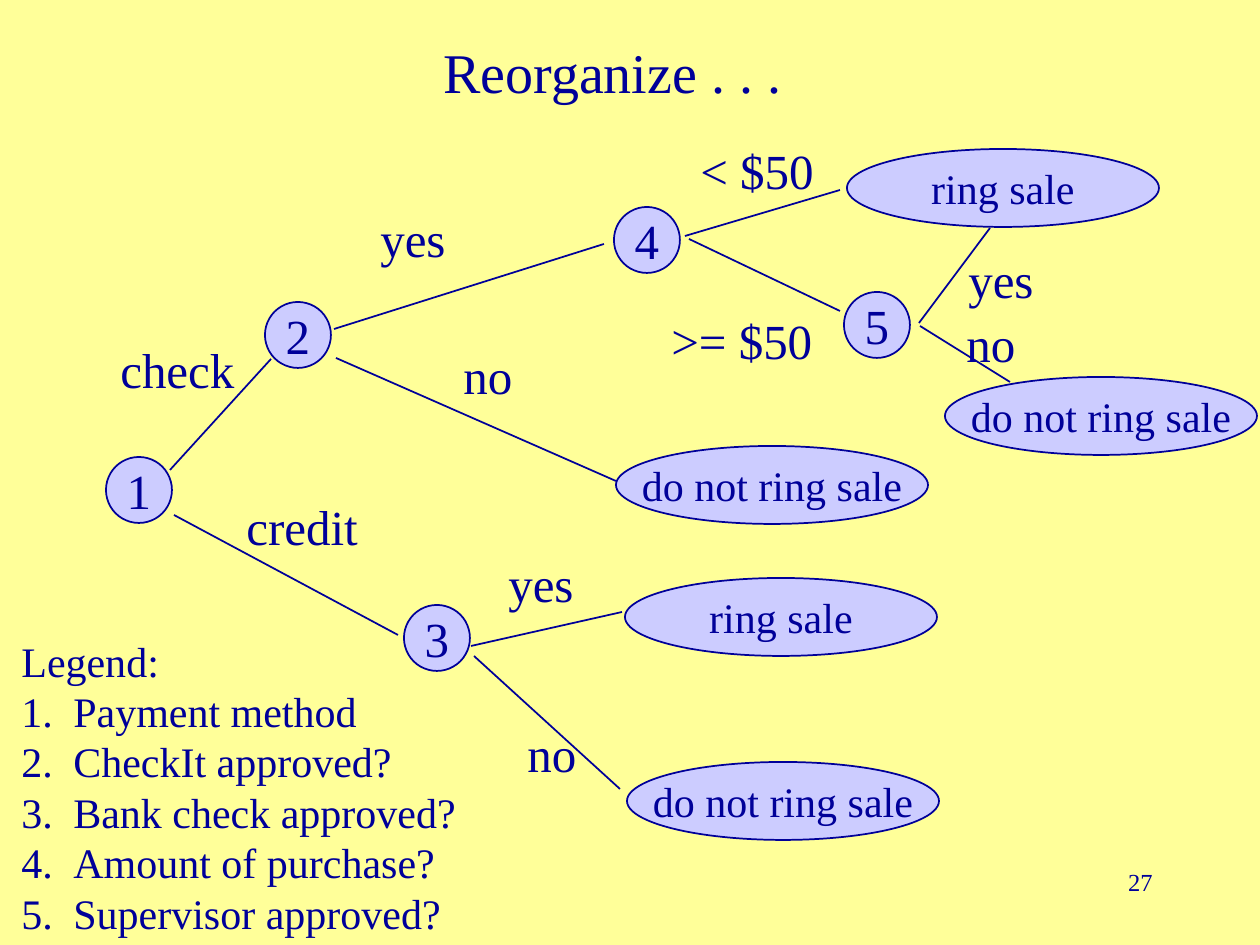
from lxml.etree import SubElement
from pptx import Presentation
from pptx.dml.color import RGBColor
from pptx.enum.shapes import MSO_CONNECTOR, MSO_SHAPE
from pptx.enum.text import MSO_ANCHOR, PP_ALIGN
from pptx.oxml.ns import qn
from pptx.util import Pt

EMU_PER_PX = 914400 / 126
FONT = "Times New Roman"
NAVY, LILAC, YELLOW = "000099", "CCCCFF", "FFFF99"
NODE, OUTCOME, LABEL_H = 66, (312, 78), 71


def px(n):
    return round(n * EMU_PER_PX)


def color(hex_string):
    return RGBColor.from_string(hex_string)


def add_run(p, text, size):
    r = p.add_run()
    r.text = text
    r.font.size = Pt(size)
    r.font.name = FONT
    r.font.color.rgb = color(NAVY)


def add_text(s, box, text, size, align=PP_ALIGN.LEFT, anchor=MSO_ANCHOR.TOP, wrap=True):
    tf = s.shapes.add_textbox(*map(px, box)).text_frame
    tf.word_wrap = wrap
    tf.vertical_anchor = anchor
    p = tf.paragraphs[0]
    p.alignment = align
    add_run(p, text, size)
    return tf


def add_ellipse(s, box, text, size):
    sp = s.shapes.add_shape(MSO_SHAPE.OVAL, *map(px, box))
    sp.shadow.inherit = False
    sp.fill.solid()
    sp.fill.fore_color.rgb = color(LILAC)
    sp.line.color.rgb = color(NAVY)
    sp.line.width = Pt(1)
    tf = sp.text_frame
    tf.word_wrap = False
    tf.vertical_anchor = MSO_ANCHOR.MIDDLE
    p = tf.paragraphs[0]
    p.alignment = PP_ALIGN.CENTER
    add_run(p, text, size)


def add_branch(s, x1, y1, x2, y2):
    line = s.shapes.add_connector(MSO_CONNECTOR.STRAIGHT, *map(px, (x1, y1, x2, y2)))
    line.line.color.rgb = color(NAVY)
    line.line.width = Pt(1)
    SubElement(line._element.spPr, qn("a:effectLst"))


def add_tree(s, left, top):
    """Decision tree: branches, numbered questions, outcomes and answers."""
    branches = [
        (70, 370, 171, 259), (74, 415, 298, 535),
        (234, 229, 504, 144), (236, 258, 516, 381),
        (371, 546, 522, 512), (374, 556, 520, 689),
        (585, 136, 740, 90), (589, 139, 740, 211),
        (819, 223, 890, 128), (820, 226, 910, 282),
    ]
    questions = [("1", 6, 357), ("2", 165, 202), ("3", 304, 505),
                 ("4", 514, 107), ("5", 744, 192)]
    outcomes = [
        ("ring sale", 747, 49), ("do not ring sale", 845, 277),
        ("do not ring sale", 516, 346), ("ring sale", 525, 478),
        ("do not ring sale", 527, 662),
    ]
    answers = [
        ("check", 8, 233, 139), ("credit", 134, 390, 236),
        ("yes", 268, 102, 91), ("no", 351, 239, 74),
        ("yes", 396, 447, 91), ("no", 415, 617, 74),
        ("< $50", 588, 34, 139), (">= $50", 559, 204, 166),
        ("yes", 856, 143, 91), ("no", 854, 207, 74),
    ]
    for x1, y1, x2, y2 in branches:
        add_branch(s, left + x1, top + y1, left + x2, top + y2)
    for text, x, y in questions:
        add_ellipse(s, (left + x, top + y, NODE, NODE), text, 28)
    for text, x, y in outcomes:
        add_ellipse(s, (left + x, top + y, *OUTCOME), text, 24)
    for text, x, y, width in answers:
        add_text(s, (left + x, top + y, width, LABEL_H), text, 28, wrap=False)


def add_legend(s, box):
    questions = ["Payment method", "CheckIt approved?", "Bank check approved?",
                 "Amount of purchase?", "Supervisor approved?"]
    tf = add_text(s, box, "Legend:", 24, wrap=False)
    for question in questions:
        p = tf.add_paragraph()
        pPr = p._p.get_or_add_pPr()
        pPr.set("marL", str(px(52)))
        pPr.set("indent", str(-px(52)))
        SubElement(pPr, qn("a:buFont"), typeface=FONT)
        SubElement(pPr, qn("a:buAutoNum"), type="arabicPeriod")
        add_run(p, question, 24)
    for p in tf.paragraphs:
        p.line_spacing = Pt(28.8)


def main():
    prs = Presentation()
    prs.slide_width, prs.slide_height = px(1260), px(945)
    s = prs.slides.add_slide(prs.slide_layouts[6])
    s.background.fill.solid()
    s.background.fill.fore_color.rgb = color(YELLOW)
    add_text(s, (84, 10, 1071, 122), "Reorganize . . . ", 32,
             PP_ALIGN.CENTER, MSO_ANCHOR.MIDDLE)
    add_legend(s, (9, 629, 460, 315))
    add_tree(s, 100, 100)
    add_text(s, (903, 861, 262, 63), "27", 14, PP_ALIGN.RIGHT)
    prs.save("out.pptx")


if __name__ == "__main__":
    main()
